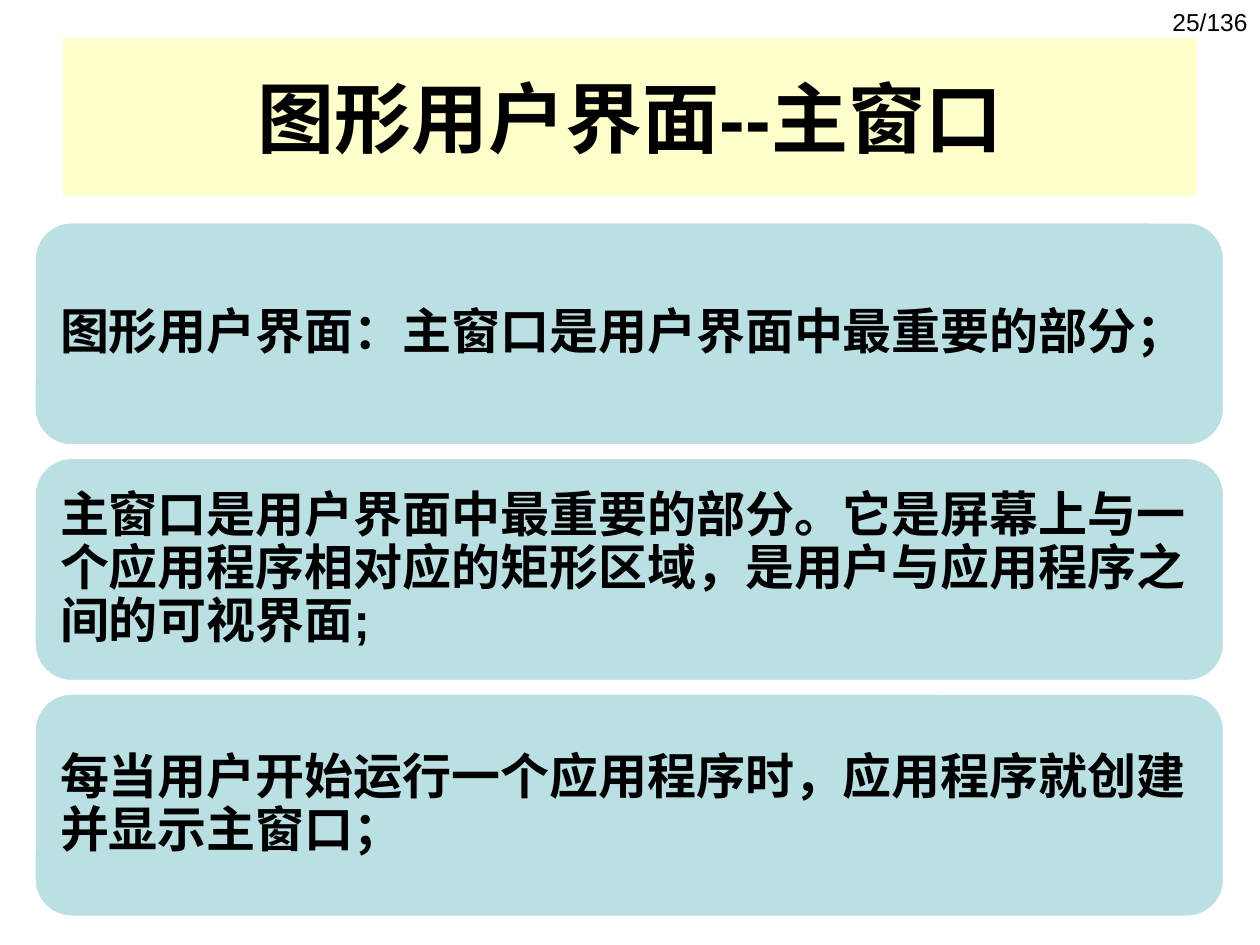
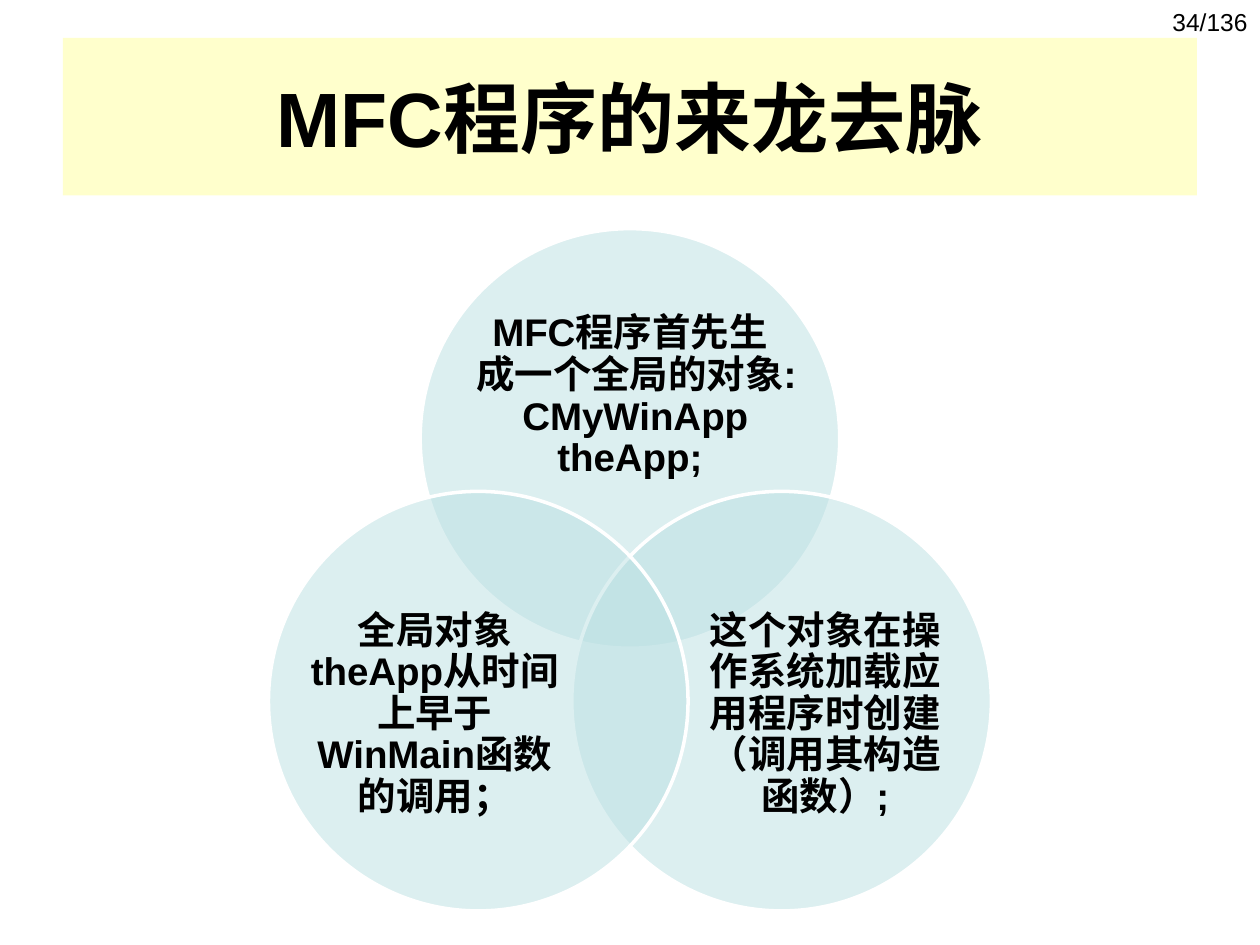
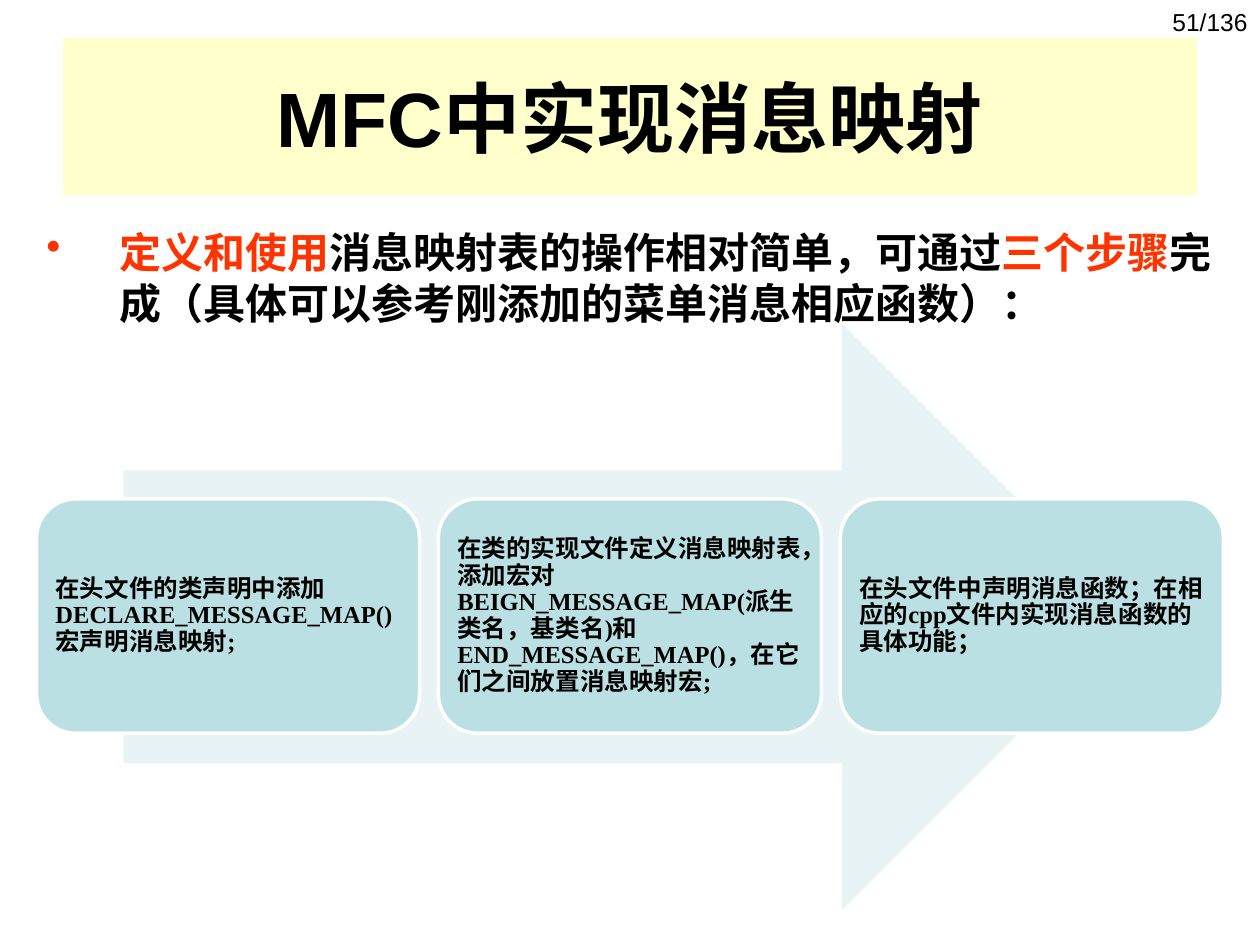
import math
from dataclasses import dataclass

from lxml import etree
from pptx import Presentation
from pptx.dml.color import RGBColor
from pptx.enum import shapes, text
from pptx.oxml import ns
from pptx.util import Inches, Pt

BLACK = RGBColor(0x00, 0x00, 0x00)
WHITE = RGBColor(0xFF, 0xFF, 0xFF)
CREAM = RGBColor(0xFF, 0xFF, 0xCC)
TEAL = RGBColor(0xBB, 0xE0, 0xE3)
PALE_TEAL = RGBColor(0xE7, 0xF3, 0xF4)
ORANGE = RGBColor(0xFF, 0x33, 0x00)
SANS = "Arial"
SERIF = "Times New Roman"
PAGE_COUNT = 136


@dataclass(frozen=True)
class Box:
    left: float
    top: float
    width: float
    height: float

    def lengths(self):
        return [Inches(side) for side in (self.left, self.top, self.width, self.height)]


@dataclass(frozen=True)
class TextStyle:
    size: int
    font: str = SANS
    bold: bool = True
    align: text.PP_ALIGN = text.PP_ALIGN.LEFT
    anchor: text.MSO_ANCHOR = text.MSO_ANCHOR.MIDDLE
    line_spacing: float = 1.0
    inset_x: float = 0.1
    inset_y: float = 0.05


@dataclass(frozen=True)
class Circle:
    angle: int
    words: str
    words_box: Box


TITLE_BOX = Box(0.5, 0.3, 9, 1.25)
PAGE_BOX = Box(9.1, 0.01, 0.9, 0.52)
INTRO_BOX = Box(0.27, 1.75, 9.45, 1.06)
ARROW_BOX = Box(0.98, 2.57, 8.03, 4.65)
FIRST_PANEL = Box(0.27, 1.76, 9.45, 1.78)
PANEL_PITCH = 1.87
FIRST_STEP = Box(0.29, 3.96, 3.04, 1.86)
STEP_PITCH = 3.19
VENN_X, VENN_Y, VENN_RADIUS = 5, 4.87, 1.39
CIRCLE_SIZE = 3.33

TITLE_STYLE = TextStyle(44, align=text.PP_ALIGN.CENTER)
PAGE_STYLE = TextStyle(14, bold=False, align=text.PP_ALIGN.RIGHT, anchor=text.MSO_ANCHOR.TOP)
PANEL_STYLE = TextStyle(28, line_spacing=0.9, inset_x=0.12, inset_y=0.12)
CIRCLE_STYLE = TextStyle(22, align=text.PP_ALIGN.CENTER, line_spacing=0.9, inset_x=0, inset_y=0)
INTRO_STYLE = TextStyle(24, SERIF, anchor=text.MSO_ANCHOR.TOP)
STEP_STYLE = TextStyle(14, SERIF, line_spacing=0.9, inset_x=0.06, inset_y=0.06)

PANELS = [
    "图形用户界面：主窗口是用户界面中最重要的部分；",
    "主窗口是用户界面中最重要的部分。它是屏幕上与一个应用程序相对应的矩形区域，是用户与应用程序之间的可视界面;",
    "每当用户开始运行一个应用程序时，应用程序就创建并显示主窗口；",
]
CIRCLES = [
    Circle(-90, "MFC程序首先生成一个全局的对象: CMyWinApp theApp;", Box(3.78, 2.4, 2.44, 1.5)),
    Circle(30, "这个对象在操作系统加载应用程序时创建（调用其构造函数）;", Box(5.55, 4.76, 2, 1.83)),
    Circle(150, "全局对象theApp从时间上早于WinMain函数的调用；", Box(2.45, 4.76, 2, 1.83)),
]
INTRO = [
    ("定义和使用", ORANGE),
    ("消息映射表的操作相对简单，可通过", BLACK),
    ("三个步骤", ORANGE),
    ("完成（具体可以参考刚添加的菜单消息相应函数）：", BLACK),
]
STEPS = [
    "在头文件的类声明中添加DECLARE_MESSAGE_MAP()宏声明消息映射;",
    "在类的实现文件定义消息映射表，添加宏对BEIGN_MESSAGE_MAP(派生类名，基类名)和END_MESSAGE_MAP()，在它们之间放置消息映射宏;",
    "在头文件中声明消息函数；在相应的cpp文件内实现消息函数的具体功能；",
]


def write(holder, pieces: list[tuple[str, RGBColor]], style: TextStyle):
    frame = holder.text_frame
    frame.word_wrap = True
    frame.vertical_anchor = style.anchor
    frame.margin_left = frame.margin_right = Inches(style.inset_x)
    frame.margin_top = frame.margin_bottom = Inches(style.inset_y)
    paragraph = frame.paragraphs[0]
    paragraph.alignment = style.align
    paragraph.line_spacing = style.line_spacing
    for words, colour in pieces:
        run = paragraph.add_run()
        run.text = words
        run.font.size = Pt(style.size)
        run.font.name = style.font
        run.font.bold = style.bold
        run.font.color.rgb = colour
    return paragraph


def add_words(slide, box: Box, pieces: list[tuple[str, RGBColor]], style: TextStyle):
    return write(slide.shapes.add_textbox(*box.lengths()), pieces, style)


def add_figure(slide, preset: shapes.MSO_SHAPE, box: Box, fill: RGBColor, outlined: bool = True):
    figure = slide.shapes.add_shape(preset, *box.lengths())
    figure.shadow.inherit = False
    figure.fill.solid()
    figure.fill.fore_color.rgb = fill
    if outlined:
        figure.line.color.rgb = WHITE
        figure.line.width = Pt(2)
    else:
        figure.line.fill.background()
    return figure


def add_cards(slide, first: Box, step_x: float, step_y: float, cards: list[str], style: TextStyle) -> None:
    for index, words in enumerate(cards):
        box = Box(first.left + index * step_x, first.top + index * step_y, first.width, first.height)
        card = add_figure(slide, shapes.MSO_SHAPE.ROUNDED_RECTANGLE, box, TEAL)
        write(card, [(words, BLACK)], style)


def add_circle(slide, circle: Circle) -> None:
    angle = math.radians(circle.angle)
    left = VENN_X + VENN_RADIUS * math.cos(angle) - CIRCLE_SIZE / 2
    top = VENN_Y + VENN_RADIUS * math.sin(angle) - CIRCLE_SIZE / 2
    disc = add_figure(slide, shapes.MSO_SHAPE.OVAL, Box(left, top, CIRCLE_SIZE, CIRCLE_SIZE), TEAL)
    colour = disc.fill._xPr.find(ns.qn("a:solidFill"))[0]
    etree.SubElement(colour, ns.qn("a:alpha"), val="50000")
    add_words(slide, circle.words_box, [(circle.words, BLACK)], CIRCLE_STYLE)


def add_intro(slide) -> None:
    paragraph = add_words(slide, INTRO_BOX, INTRO, INTRO_STYLE)
    properties = paragraph._p.get_or_add_pPr()
    indent = Inches(0.58)
    properties.set("marL", str(indent))
    properties.set("indent", str(-indent))
    etree.SubElement(properties, ns.qn("a:buChar"), char="•")


def new_slide(deck, title: str, page: int):
    slide = deck.slides.add_slide(deck.slide_layouts[6])
    band = add_figure(slide, shapes.MSO_SHAPE.RECTANGLE, TITLE_BOX, CREAM, outlined=False)
    write(band, [(title, BLACK)], TITLE_STYLE)
    add_words(slide, PAGE_BOX, [(f"{page}/{PAGE_COUNT}", BLACK)], PAGE_STYLE)
    return slide


def main() -> None:
    deck = Presentation()
    deck.slide_width, deck.slide_height = Inches(10), Inches(7.5)

    main_window = new_slide(deck, "图形用户界面--主窗口", 25)
    add_cards(main_window, FIRST_PANEL, 0, PANEL_PITCH, PANELS, PANEL_STYLE)

    program_origin = new_slide(deck, "MFC程序的来龙去脉", 34)
    for circle in CIRCLES:
        add_circle(program_origin, circle)

    message_map = new_slide(deck, "MFC中实现消息映射", 51)
    add_intro(message_map)
    add_figure(message_map, shapes.MSO_SHAPE.RIGHT_ARROW, ARROW_BOX, PALE_TEAL, outlined=False)
    add_cards(message_map, FIRST_STEP, STEP_PITCH, 0, STEPS, STEP_STYLE)

    deck.save("out.pptx")


if __name__ == "__main__":
    main()
